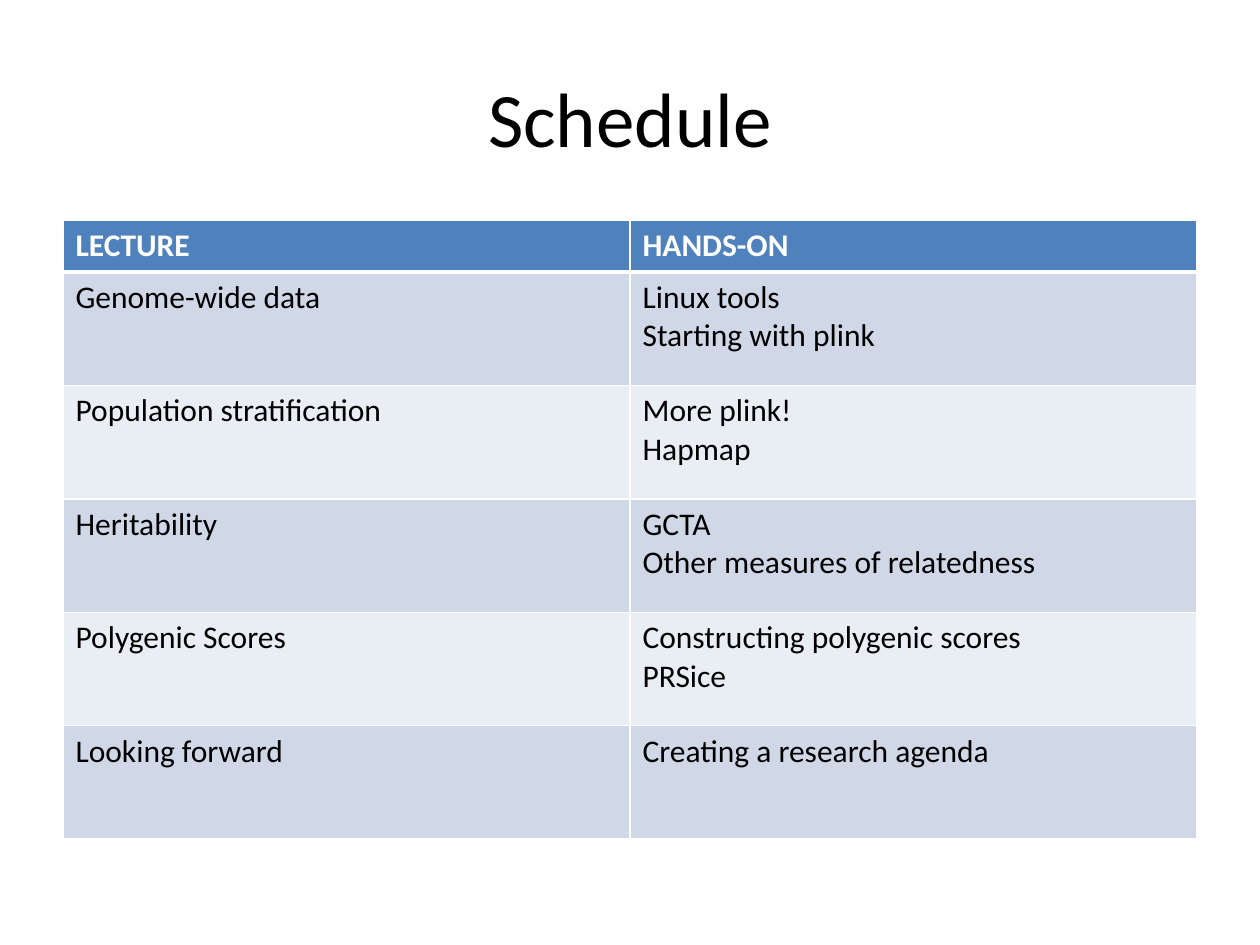
from lxml.etree import SubElement
from pptx import Presentation
from pptx.dml.color import RGBColor
from pptx.enum.text import MSO_ANCHOR, PP_ALIGN
from pptx.oxml.ns import qn
from pptx.util import Inches, Pt

THEME = {
    "font": "Calibri", "title_size": 44, "body_size": 18,
    "ink": "000000", "white": "FFFFFF", "header": "4F81BD",
    "bands": ("D0D8E8", "E9EDF4"),
}
SCHEDULE = [
    ("LECTURE", "HANDS-ON"),
    ("Genome-wide data", "Linux tools\nStarting with plink"),
    ("Population stratification", "More plink!\nHapmap"),
    ("Heritability", "GCTA\nOther measures of relatedness"),
    ("Polygenic Scores", "Constructing polygenic scores\nPRSice"),
    ("Looking forward", "Creating a research agenda"),
]


def write(frame, text, *, size, color, bold=False, align=PP_ALIGN.LEFT):
    frame.text = text
    for paragraph in frame.paragraphs:
        paragraph.alignment = align
        font = paragraph.runs[0].font
        font.name, font.size, font.bold = THEME["font"], Pt(size), bold
        font.color.rgb = RGBColor.from_string(color)


def add_borders(cell, widths):
    properties = cell._tc.get_or_add_tcPr()
    for side, width in widths.items():
        line = SubElement(properties, qn(f"a:ln{side}"), w=str(Pt(width)))
        fill = SubElement(line, qn("a:solidFill"))
        SubElement(fill, qn("a:srgbClr"), val=THEME["white"])


deck = Presentation()
deck.slide_width, deck.slide_height = Inches(10), Inches(7.5)
slide = deck.slides.add_slide(deck.slide_layouts[5])

# Grid
margin = Inches(0.5)
content_width = deck.slide_width - 2 * margin
header_height, row_height = Inches(0.41), Inches(0.9)
table_height = header_height + row_height * (len(SCHEDULE) - 1)

# Title
title = slide.shapes.title
title.left, title.top = margin, Inches(0.3)
title.width, title.height = content_width, Inches(1.25)
title.text_frame.vertical_anchor = MSO_ANCHOR.MIDDLE
write(title.text_frame, "Schedule", size=THEME["title_size"],
      color=THEME["ink"], align=PP_ALIGN.CENTER)

# Schedule table: header row, then alternating bands
schedule = slide.shapes.add_table(len(SCHEDULE), 2, margin, Inches(1.75),
                                  content_width, table_height).table
for column in schedule.columns:
    column.width = content_width // 2
for r, entries in enumerate(SCHEDULE):
    is_header = r == 0
    schedule.rows[r].height = header_height if is_header else row_height
    background = THEME["header"] if is_header else THEME["bands"][(r - 1) % 2]
    for c, entry in enumerate(entries):
        cell = schedule.cell(r, c)
        add_borders(cell, {"L": 1, "R": 1, "T": 3 if r == 1 else 1,
                           "B": 3 if is_header else 1})
        cell.fill.solid()
        cell.fill.fore_color.rgb = RGBColor.from_string(background)
        write(cell.text_frame, entry, size=THEME["body_size"], bold=is_header,
              color=THEME["white"] if is_header else THEME["ink"])

deck.save("out.pptx")
